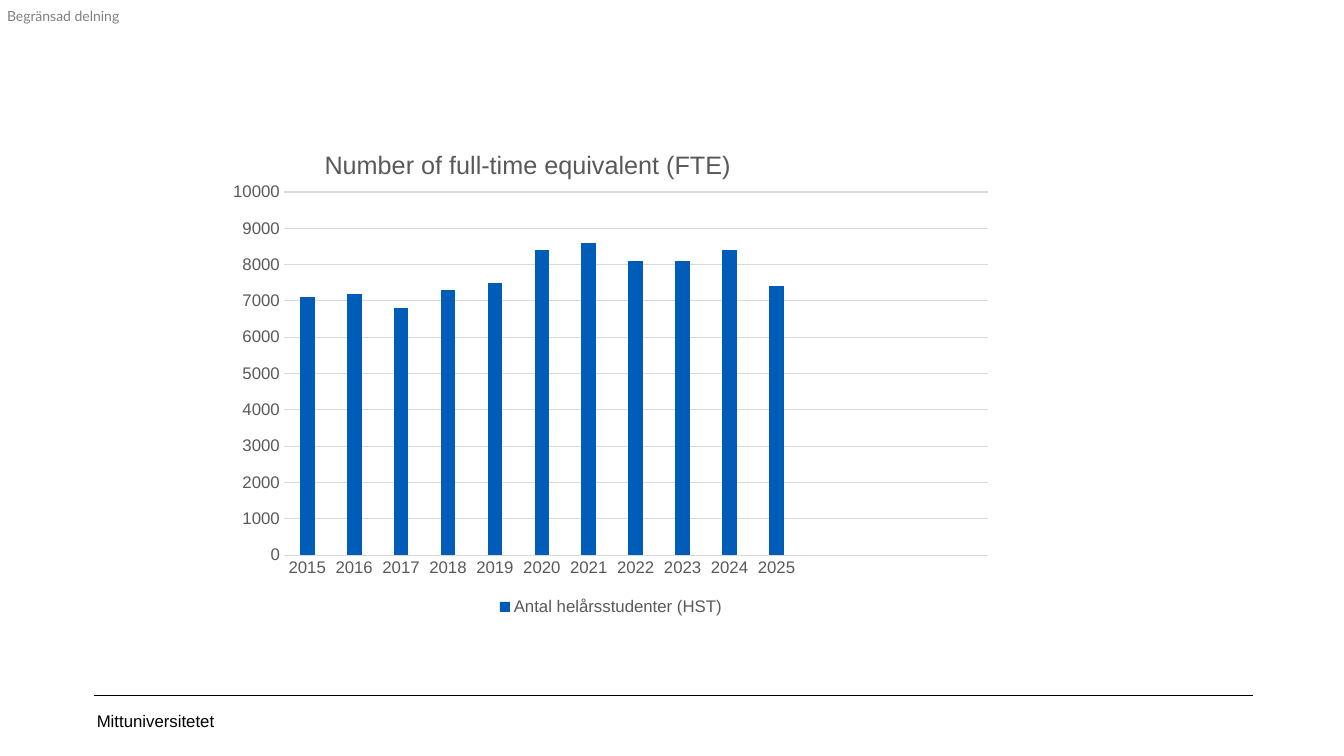
from lxml import etree
from pptx import Presentation
from pptx.chart import data
from pptx.dml import color
from pptx.enum import chart as charts, shapes, text
from pptx.oxml import ns
from pptx.util import Inches, Pt

YEARS = [str(year) for year in range(2015, 2026)]
STUDENTS = [7100, 7200, 6800, 7300, 7500, 8400, 8600, 8100, 8100, 8400, 7400]
EMPTY_SLOTS = 4
GREY, PALE = "595959", "D9D9D9"


def rgb(value):
    """Turn a hex string into a colour."""
    return color.RGBColor.from_string(value)


def style_font(font, size, hex_color, name="Arial"):
    """Set size, colour and family of a font."""
    font.size, font.name, font.bold = Pt(size), name, False
    font.color.rgb = rgb(hex_color)


def style_line(line, hex_color, width):
    """Set colour and width of a line."""
    line.color.rgb = rgb(hex_color)
    line.width = Pt(width)


def add_label(slide, box, words, size, name, margins, anchor):
    """Add a black one-line text box and return its run."""
    frame = slide.shapes.add_textbox(*map(Inches, box)).text_frame
    frame.word_wrap = True
    frame.vertical_anchor = anchor
    (frame.margin_left, frame.margin_top,
     frame.margin_right, frame.margin_bottom) = map(Inches, margins)
    frame.text = words
    run = frame.paragraphs[0].runs[0]
    style_font(run.font, size, "000000", name)
    return run


def make_translucent(run, percent):
    """Give the text colour of a run an opacity."""
    fill = run.font._element.find(".//" + ns.qn("a:srgbClr"))
    etree.SubElement(fill, ns.qn("a:alpha")).set("val", str(percent * 1000))


def add_rule(slide, left, right, top):
    """Add the thin horizontal footer rule."""
    rule = slide.shapes.add_connector(
        shapes.MSO_CONNECTOR.STRAIGHT,
        Inches(left), Inches(top), Inches(right), Inches(top))
    style_line(rule.line, "000000", 0.25)
    etree.SubElement(rule._element.spPr, ns.qn("a:effectLst"))


def place_part(part, index, **settings):
    """Give a chart part a manual layout, in fractions of the chart."""
    for old in part.findall(ns.qn("c:layout")):
        part.remove(old)
    layout = etree.Element(ns.qn("c:layout"))
    manual = etree.SubElement(layout, ns.qn("c:manualLayout"))
    for tag, value in settings.items():
        etree.SubElement(manual, ns.qn("c:" + tag)).set("val", str(value))
    part.insert(index, layout)


def style_axes(chart):
    """Format both axes and the gridlines."""
    for axis in (chart.category_axis, chart.value_axis):
        axis.major_tick_mark = charts.XL_TICK_MARK.NONE
        axis.minor_tick_mark = charts.XL_TICK_MARK.NONE
        style_font(axis.tick_labels.font, 12, GREY)
    style_line(chart.category_axis.format.line, PALE, 0.75)
    values = chart.value_axis
    values.minimum_scale, values.maximum_scale, values.major_unit = 0, 10000, 1000
    values.format.line.fill.background()
    style_line(values.major_gridlines.format.line, PALE, 0.75)


def add_student_chart(slide):
    """Add the column chart of full-time equivalents."""
    chart_data = data.CategoryChartData(number_format="0")
    chart_data.categories = YEARS + [""] * EMPTY_SLOTS
    chart_data.add_series("Antal helårsstudenter (HST)", STUDENTS + [None] * EMPTY_SLOTS)
    chart = slide.shapes.add_chart(
        charts.XL_CHART_TYPE.COLUMN_CLUSTERED,
        Inches(2.16), Inches(1.18), Inches(7.8), Inches(4.97), chart_data).chart
    style_font(chart.font, 10, "000000")

    title = chart.chart_title
    title.text_frame.text = "Number of full-time equivalent (FTE)"
    style_font(title.text_frame.paragraphs[0].runs[0].font, 18, GREY)
    title.include_in_layout = False
    place_part(title._element, 1, xMode="edge", yMode="edge", x=0.13, y=0.05)

    plot = chart.plots[0]
    plot.gap_width, plot.overlap, plot.vary_by_categories = 219, -27, False
    fill = plot.series[0].format.fill
    fill.solid()
    fill.fore_color.rgb = rgb("005CB9")
    place_part(chart._chartSpace.chart.plotArea, 0, layoutTarget="inner",
               xMode="edge", yMode="edge", x=0.084, y=0.146, w=0.895, h=0.725)
    style_axes(chart)

    chart.has_legend = True
    chart.legend.position = charts.XL_LEGEND_POSITION.BOTTOM
    chart.legend.include_in_layout = False
    style_font(chart.legend.font, 12, GREY)


def main():
    """Build and save the slide."""
    presentation = Presentation()
    presentation.slide_width, presentation.slide_height = Inches(13.33), Inches(7.5)
    slide = presentation.slides.add_slide(presentation.slide_layouts[6])
    add_label(slide, (0.92, 6.95, 3, 0.4), "Mittuniversitetet", 12, "Arial",
              (0.04, 0.05, 0.1, 0.05), text.MSO_ANCHOR.MIDDLE)
    add_rule(slide, 0.93, 12.43, 6.9)
    sharing = add_label(slide, (0.07, 0.07, 1.14, 0.17), "Begränsad delning", 10, "Lato",
                        (0, 0, 0, 0), text.MSO_ANCHOR.TOP)
    make_translucent(sharing, 50)
    add_student_chart(slide)
    presentation.save("out.pptx")


if __name__ == "__main__":
    main()
